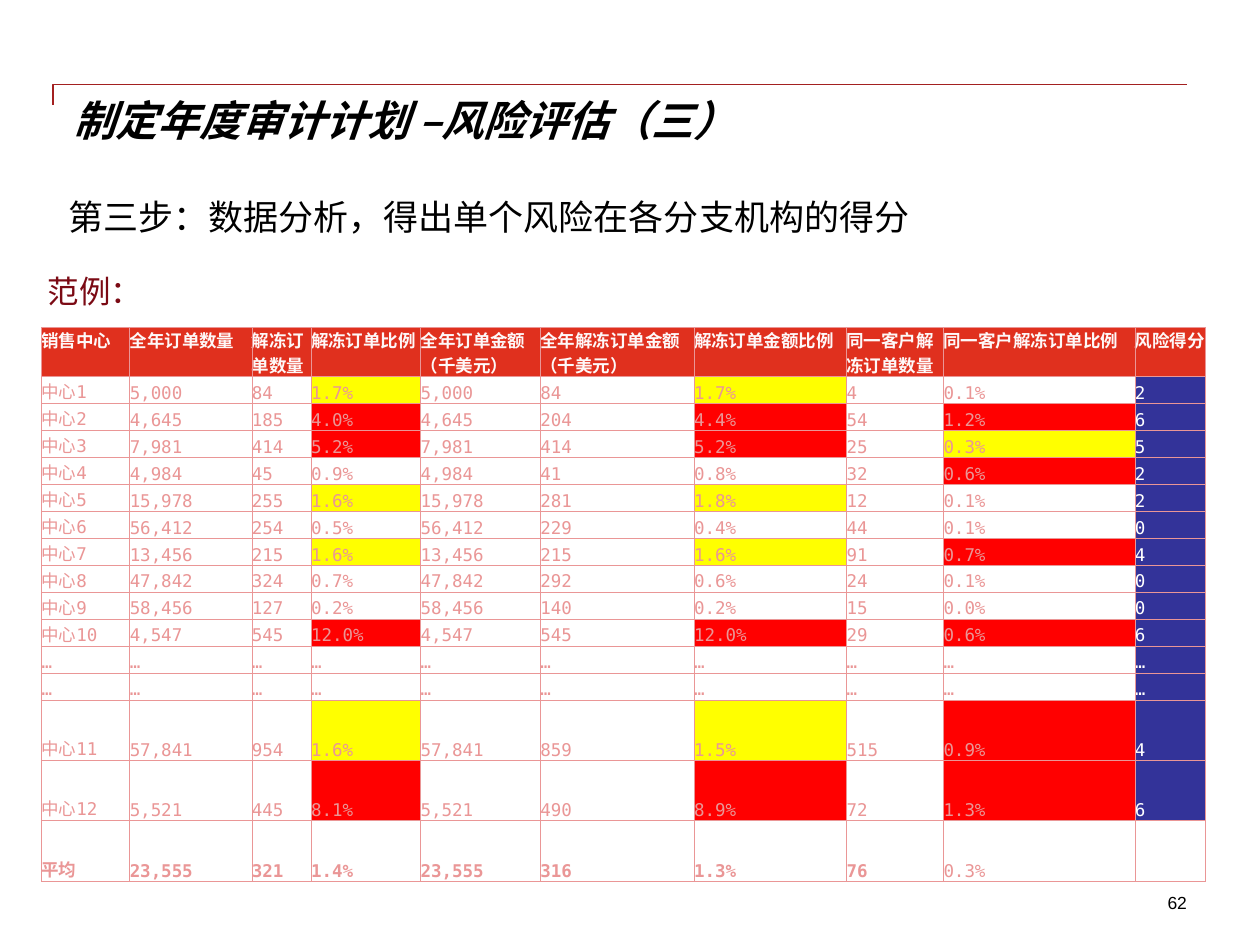
from lxml.etree import SubElement
from pptx import Presentation
from pptx.dml.color import RGBColor
from pptx.enum.shapes import MSO_CONNECTOR
from pptx.enum.text import MSO_ANCHOR, PP_ALIGN
from pptx.oxml.ns import qn
from pptx.util import Inches, Pt

TITLE = "制定年度审计计划 –风险评估（三）"
SUBTITLE = "第三步：数据分析，得出单个风险在各分支机构的得分"
EXAMPLE_LABEL = "范例："
PAGE_NUMBER = "62"

HEADERS = ["销售中心", "全年订单数量", "解冻订单数量", "解冻订单比例",
           "全年订单金额\n（千美元）", "全年解冻订单金额\n（千美元）", "解冻订单金额比例",
           "同一客户解冻订单数量", "同一客户解冻订单比例", "风险得分"]
ELLIPSIS_ROW = ["…"] * len(HEADERS)
CENTERS = [
    ["中心1", "5,000", "84", "1.7%", "5,000", "84", "1.7%", "4", "0.1%", "2"],
    ["中心2", "4,645", "185", "4.0%", "4,645", "204", "4.4%", "54", "1.2%", "6"],
    ["中心3", "7,981", "414", "5.2%", "7,981", "414", "5.2%", "25", "0.3%", "5"],
    ["中心4", "4,984", "45", "0.9%", "4,984", "41", "0.8%", "32", "0.6%", "2"],
    ["中心5", "15,978", "255", "1.6%", "15,978", "281", "1.8%", "12", "0.1%", "2"],
    ["中心6", "56,412", "254", "0.5%", "56,412", "229", "0.4%", "44", "0.1%", "0"],
    ["中心7", "13,456", "215", "1.6%", "13,456", "215", "1.6%", "91", "0.7%", "4"],
    ["中心8", "47,842", "324", "0.7%", "47,842", "292", "0.6%", "24", "0.1%", "0"],
    ["中心9", "58,456", "127", "0.2%", "58,456", "140", "0.2%", "15", "0.0%", "0"],
    ["中心10", "4,547", "545", "12.0%", "4,547", "545", "12.0%", "29", "0.6%", "6"],
    ELLIPSIS_ROW,
    ELLIPSIS_ROW,
    ["中心11", "57,841", "954", "1.6%", "57,841", "859", "1.5%", "515", "0.9%", "4"],
    ["中心12", "5,521", "445", "8.1%", "5,521", "490", "8.9%", "72", "1.3%", "6"],
]
AVERAGES = ["平均", "23,555", "321", "1.4%", "23,555", "316", "1.3%", "76", "0.3%", ""]
ROWS = [HEADERS, *CENTERS, AVERAGES]

COLUMN_WIDTHS = [0.7, 0.97, 0.47, 0.87, 0.95, 1.22, 1.21, 0.77, 1.52, 0.56]
ROW_HEIGHTS = [0.39] + [2.57 / 12] * 12 + [0.48] * 3
RATIO_COLUMNS = (3, 6, 8)
SCORE_COLUMN = len(HEADERS) - 1
LAST_ROW = len(ROWS) - 1

CJK_FONT, TABLE_FONT = "Noto Sans CJK SC", "DejaVu Sans Mono"
BLACK, WHITE, PINK = "000000", "FFFFFF", "EA9696"
HEADER_FILL, SCORE_FILL = "E0301E", "333399"
HIGH_FILL, MEDIUM_FILL = "FF0000", "FFFF00"


def color(hex_string):
    return RGBColor.from_string(hex_string)


def write(frame, text, size, font_name, hex_color, bold=False, italic=False, align=PP_ALIGN.LEFT):
    paragraph = frame.paragraphs[0]
    paragraph.text = text
    paragraph.alignment = align
    font = paragraph.font
    font.size, font.name, font.bold, font.italic = Pt(size), font_name, bold, italic
    font.color.rgb = color(hex_color)
    defaults = paragraph._p.pPr.find(qn("a:defRPr"))
    SubElement(defaults, qn("a:ea")).set("typeface", CJK_FONT)


def set_insets(frame, side=0):
    frame.margin_left = frame.margin_right = Inches(side)
    frame.margin_top = frame.margin_bottom = 0


def add_text(slide, box, text, size, font_name, hex_color, align=PP_ALIGN.LEFT, side=0, wrap=True):
    frame = slide.shapes.add_textbox(*map(Inches, box)).text_frame
    set_insets(frame, side)
    frame.word_wrap = wrap
    write(frame, text, size, font_name, hex_color, align=align)


def add_borders(cell):
    properties = cell._tc.get_or_add_tcPr()
    for side in ("lnL", "lnR", "lnT", "lnB"):
        line = SubElement(properties, qn(f"a:{side}"), w=str(Pt(0.5)))
        fill = SubElement(line, qn("a:solidFill"))
        SubElement(fill, qn("a:srgbClr"), val=PINK)


def cell_fill(row, column):
    """Mark ratios at or above the average, and those at least twice it."""
    text = ROWS[row][column]
    if row == 0:
        return HEADER_FILL
    if row == LAST_ROW:
        return None
    if column == SCORE_COLUMN:
        return SCORE_FILL
    if column in RATIO_COLUMNS and text != "…":
        ratio, average = (float(value.rstrip("%")) for value in (text, AVERAGES[column]))
        if ratio >= 2 * average:
            return HIGH_FILL
        if ratio >= average:
            return MEDIUM_FILL
    return None


def format_cell(cell, row, column):
    add_borders(cell)
    fill = cell_fill(row, column)
    if fill:
        cell.fill.solid()
        cell.fill.fore_color.rgb = color(fill)
    else:
        cell.fill.background()
    set_insets(cell)
    cell.vertical_anchor = MSO_ANCHOR.TOP if row == 0 else MSO_ANCHOR.BOTTOM
    text_color = "FEF8F8" if row == 0 else WHITE if column == SCORE_COLUMN else PINK
    bold = row == 0 or (row == LAST_ROW and column < 8)
    write(cell.text_frame, ROWS[row][column], 10, TABLE_FONT, text_color, bold)


def add_risk_table(slide):
    table = slide.shapes.add_table(len(ROWS), len(HEADERS), Inches(0.33), Inches(2.6),
                                   Inches(sum(COLUMN_WIDTHS)), Inches(sum(ROW_HEIGHTS))).table
    table.first_row = table.horz_banding = False
    for column, width in enumerate(COLUMN_WIDTHS):
        table.columns[column].width = Inches(width)
    for row, height in enumerate(ROW_HEIGHTS):
        table.rows[row].height = Inches(height)
        for column in range(len(HEADERS)):
            format_cell(table.cell(row, column), row, column)


def add_title_rule(slide):
    rule = slide.shapes.add_connector(MSO_CONNECTOR.ELBOW, Inches(9.42), Inches(0.67),
                                      Inches(0.42), Inches(0.83))
    rule.line.color.rgb = color("A32020")
    rule.line.width = Pt(1)
    properties = rule._element.spPr
    properties.find(qn("a:prstGeom")).set("prst", "bentConnector2")
    SubElement(properties, qn("a:effectLst"))


def main():
    presentation = Presentation()
    presentation.slide_width, presentation.slide_height = Inches(10), Inches(7.5)
    slide = presentation.slides.add_slide(presentation.slide_layouts[5])

    add_title_rule(slide)
    title = slide.shapes.title
    title.left, title.top, title.width, title.height = map(Inches, (0.58, 0.75, 8.83, 1))
    set_insets(title.text_frame)
    title.text_frame.vertical_anchor = MSO_ANCHOR.TOP
    write(title.text_frame, TITLE, 24, "Arial", BLACK, bold=True, italic=True)

    add_text(slide, (7.75, 7.08, 1.67, 0.17), PAGE_NUMBER, 10, "Arial", BLACK, PP_ALIGN.RIGHT)
    add_text(slide, (0.54, 1.55, 8.53, 0.42), SUBTITLE, 20, CJK_FONT, BLACK)
    add_risk_table(slide)
    add_text(slide, (0.31, 2.16, 0.89, 0.3), EXAMPLE_LABEL, 18, CJK_FONT, "7B0A14",
             side=0.07, wrap=False)
    presentation.save("out.pptx")


if __name__ == "__main__":
    main()
